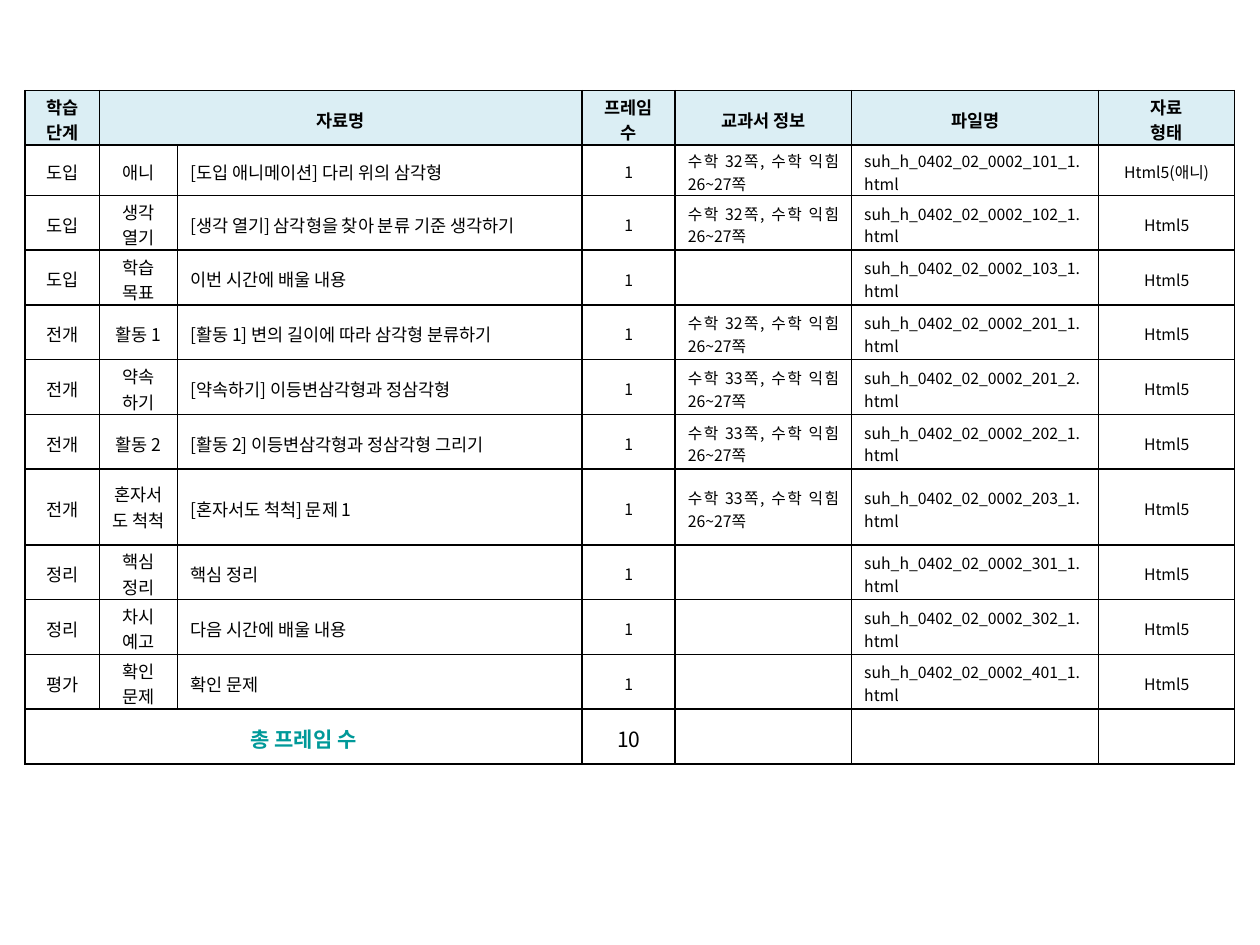
"""Build a lesson material list as a one-table slide."""
from lxml import etree
from pptx import Presentation
from pptx.dml.color import RGBColor
from pptx.enum.text import MSO_ANCHOR, PP_ALIGN
from pptx.oxml.ns import qn
from pptx.util import Inches, Pt

CENTER, LEFT, JUSTIFY = PP_ALIGN.CENTER, PP_ALIGN.LEFT, PP_ALIGN.JUSTIFY
MIDDLE = MSO_ANCHOR.MIDDLE
BLACK = RGBColor(0x00, 0x00, 0x00)
TEAL = RGBColor(0x00, 0x99, 0x99)
PALE_BLUE = RGBColor(0xDB, 0xEE, 0xF4)

COL_WIDTHS = [0.59, 0.62, 3.21, 0.74, 1.4, 1.96, 1.08]
ROW_HEIGHTS = [0.43, 0.4] + [0.435] * 5 + [0.6] + [0.435] * 4
ALIGNS = [CENTER, CENTER, LEFT, CENTER, JUSTIFY, JUSTIFY, CENTER]
SIZES = [10, 10, 10, 9, 9, 9, 9]

HEADERS = ["학습 단계", "자료명", "", "프레임 수", "교과서 정보", "파일명", "자료\n형태"]
MATERIALS = [
    ("도입", "애니", "[도입 애니메이션] 다리 위의 삼각형", 32, "101_1"),
    ("도입", "생각 열기", "[생각 열기] 삼각형을 찾아 분류 기준 생각하기", 32, "102_1"),
    ("도입", "학습 목표", "이번 시간에 배울 내용", None, "103_1"),
    ("전개", "활동 1", "[활동 1] 변의 길이에 따라 삼각형 분류하기", 32, "201_1"),
    ("전개", "약속\n하기", "[약속하기] 이등변삼각형과 정삼각형", 33, "201_2"),
    ("전개", "활동 2", "[활동 2] 이등변삼각형과 정삼각형 그리기", 33, "202_1"),
    ("전개", "혼자서도 척척", "[혼자서도 척척] 문제 1", 33, "203_1"),
    ("정리", "핵심 정리", "핵심 정리", None, "301_1"),
    ("정리", "차시 예고", "다음 시간에 배울 내용", None, "302_1"),
    ("평가", "확인 문제", "확인 문제", None, "401_1"),
]


class Deck:
    """Hold the table style and the current slide."""

    font = "Noto Sans CJK KR"
    border = Pt(1)

    def __init__(self, prs):
        self.s = prs.slides.add_slide(prs.slide_layouts[6])

    def table(self, left, top, widths, heights):
        """Add a plain table with black borders."""
        frame = self.s.shapes.add_table(
            len(heights), len(widths), Inches(left), Inches(top),
            Inches(sum(widths)), Inches(sum(heights)))
        tbl = frame.table
        tbl.first_row = tbl.horz_banding = False
        for col, width in zip(tbl.columns, widths):
            col.width = Inches(width)
        for row, height in zip(tbl.rows, heights):
            row.height = Inches(height)
        for cell in tbl.iter_cells():
            self.borders(cell)
            cell.fill.background()
            cell.vertical_anchor = MIDDLE
            cell.margin_top, cell.margin_bottom = Inches(0.03), 0
        return tbl

    def borders(self, cell):
        """Draw a solid line on each side of a cell."""
        tcPr = cell._tc.get_or_add_tcPr()
        for side in ("a:lnL", "a:lnR", "a:lnT", "a:lnB"):
            ln = etree.SubElement(tcPr, qn(side), w=str(self.border))
            fill = etree.SubElement(ln, qn("a:solidFill"))
            etree.SubElement(fill, qn("a:srgbClr"), val=str(BLACK))

    def text(self, cell, text, size, align=CENTER, bold=False, color=BLACK):
        """Write one paragraph per line into a cell."""
        tf = cell.text_frame
        for i, line in enumerate(text.split("\n")):
            p = tf.add_paragraph() if i else tf.paragraphs[0]
            p.alignment = align
            r = p.add_run()
            r.text = line
            r.font.name = self.font
            r.font.size = Pt(size)
            r.font.bold = bold
            r.font.color.rgb = color
            etree.SubElement(r.font._element, qn("a:ea"), typeface=self.font)


def main():
    """Build and save the slide."""
    prs = Presentation()
    prs.slide_width, prs.slide_height = Inches(10), Inches(7.5)
    deck = Deck(prs)
    tbl = deck.table(0.2, 0.72, COL_WIDTHS, ROW_HEIGHTS)
    total = len(MATERIALS) + 1
    tbl.cell(0, 1).merge(tbl.cell(0, 2))
    tbl.cell(total, 0).merge(tbl.cell(total, 2))

    for c, header in enumerate(HEADERS):
        cell = tbl.cell(0, c)
        cell.fill.solid()
        cell.fill.fore_color.rgb = PALE_BLUE
        if header:
            deck.text(cell, header, 10, bold=True)

    for r, (stage, step, title, page, code) in enumerate(MATERIALS, 1):
        book = f"수학 {page}쪽, 수학 익힘 26~27쪽" if page else ""
        kind = "Html5(애니)" if step == "애니" else "Html5"
        values = [stage, step, title, "1", book, f"suh_h_0402_02_0002_{code}.html", kind]
        for c, value in enumerate(values):
            if value:
                deck.text(tbl.cell(r, c), value, SIZES[c], ALIGNS[c])
        if step == "혼자서도 척척":
            tbl.cell(r, 1).margin_top = 0

    deck.text(tbl.cell(total, 0), "총 프레임 수", 12, bold=True, color=TEAL)
    deck.text(tbl.cell(total, 3), str(len(MATERIALS)), 12)
    prs.save("out.pptx")


if __name__ == "__main__":
    main()
